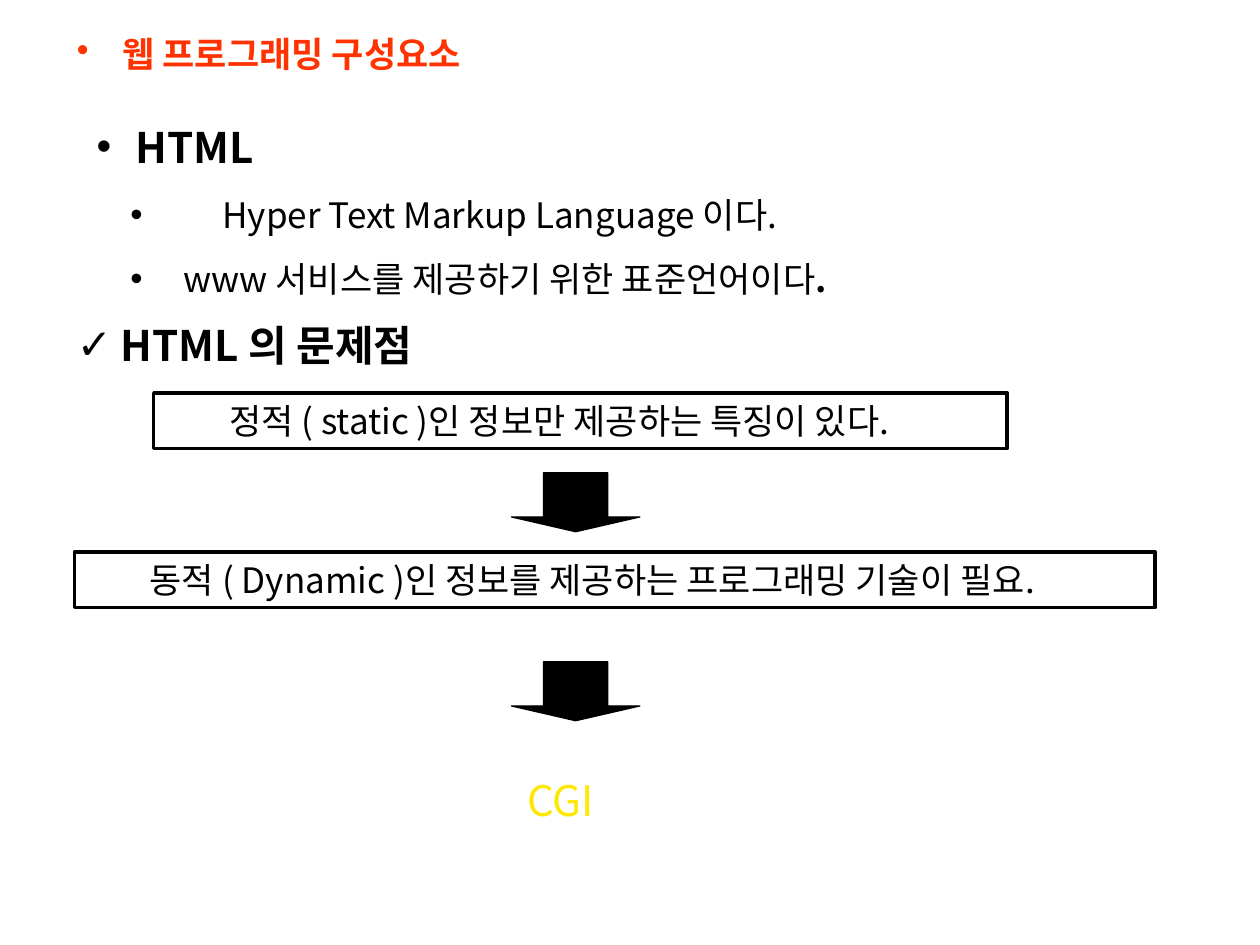
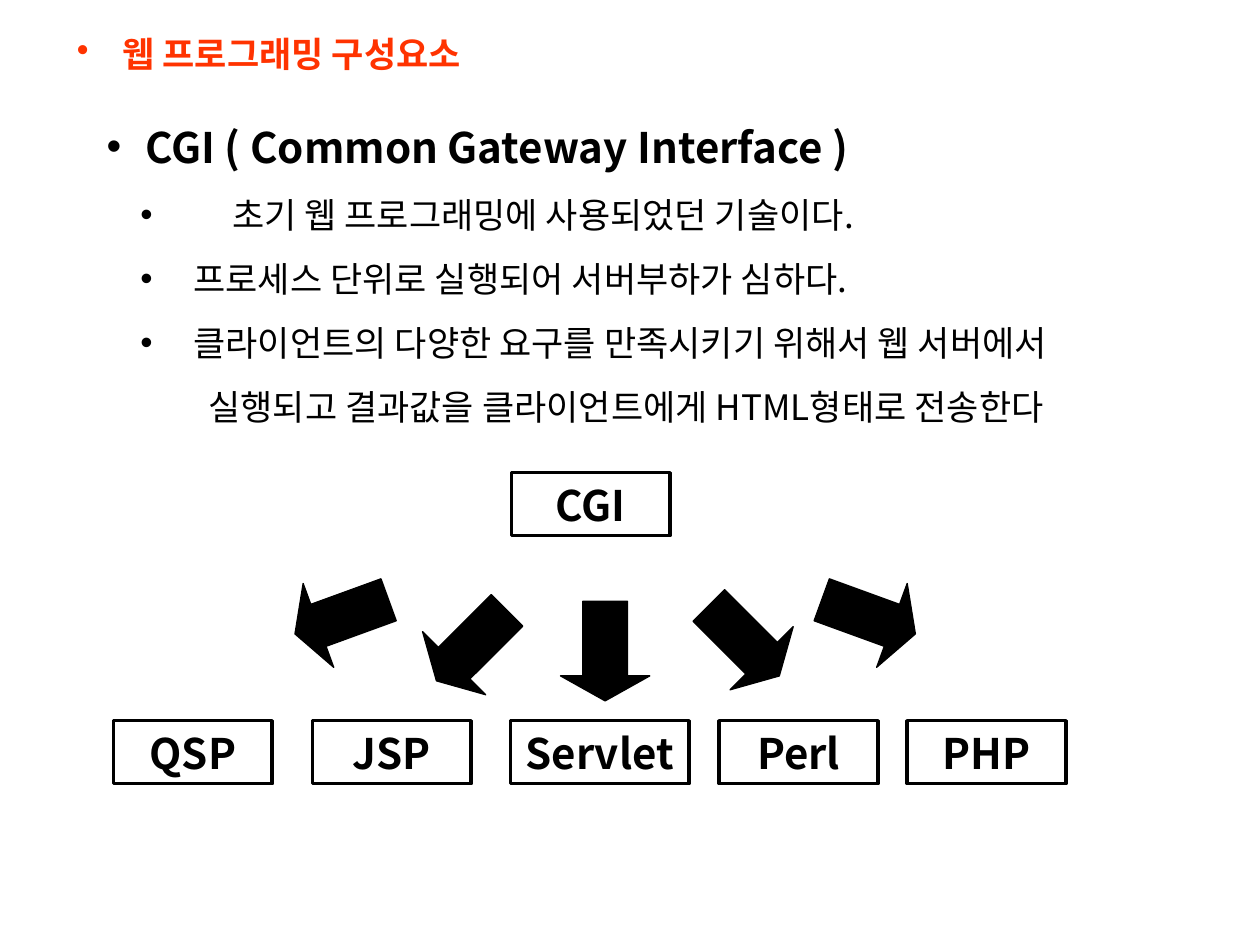
"""Build two slides on the components of web programming."""
from dataclasses import dataclass
from typing import Optional

from lxml.etree import SubElement
from pptx import Presentation
from pptx.dml.color import RGBColor
from pptx.enum.shapes import MSO_SHAPE
from pptx.enum.text import MSO_ANCHOR, MSO_AUTO_SIZE, PP_ALIGN
from pptx.oxml.ns import qn
from pptx.util import Cm, Pt

FONT = "Noto Sans CJK KR"
COLORS = {"title": "FF3300", "ink": "000000", "glow_top": "FFE701", "glow_bottom": "FE3E02"}
TITLE = "웹 프로그래밍 구성요소"
LINE_RATIO = 1.2
SPACE_RATIO = 0.625


@dataclass(frozen=True)
class Area:
    left: float
    top: float
    width: float
    height: float

    def lengths(self):
        return Cm(self.left), Cm(self.top), Cm(self.width), Cm(self.height)


@dataclass(frozen=True)
class Item:
    text: str
    size: float = 20
    bold: bool = False
    color: str = "ink"
    level: int = 0
    bullet: Optional[str] = None
    bullet_at: float = 0
    text_at: float = 0
    align: PP_ALIGN = PP_ALIGN.LEFT
    bold_end: str = ""


@dataclass(frozen=True)
class Arrow:
    area: Area
    head: float
    rotation: float = 0


def heading(text: str, bullet: str = "•", text_at: float = 0.78) -> Item:
    return Item(text, size=24, bold=True, bullet=bullet, text_at=text_at)


def detail(text: str, text_at: float = 1.75, bullet: Optional[str] = "•", bold_end: str = "") -> Item:
    start = 0.68 if bullet else text_at
    return Item(text, level=1, bullet=bullet, bullet_at=start, text_at=text_at, bold_end=bold_end)


def statement(text: str) -> Item:
    return Item(text, level=1, bullet_at=1.27, text_at=1.27)


TITLE_AREA = Area(1.3, 0.53, 21.41, 1.12)
TITLE_ITEM = Item(TITLE, bold=True, color="title", bullet="•", text_at=0.92)

HTML_AREA = Area(1.7, 2.31, 23.01, 3.86)
HTML_ITEMS = [
    heading("HTML"),
    detail("Hyper Text Markup Language 이다.", 2.53),
    detail("www 서비스를 제공하기 위한 표준언어이다", bold_end="."),
]
PROBLEM_AREA = Area(1.3, 6.32, 23.01, 1.27)
PROBLEM_ITEMS = [heading("HTML 의 문제점", bullet="✓", text_at=0.88)]
STATEMENTS = [
    (Area(3.1, 7.92, 17.2, 1.12), "정적 ( static )인 정보만 제공하는 특징이 있다."),
    (Area(1.5, 11.13, 21.79, 1.12), "동적 ( Dynamic )인 정보를 제공하는 프로그래밍 기술이 필요."),
]
STEP_ARROWS = [Arrow(Area(10.31, top, 2.59, 1.19), 0.25) for top in (9.53, 13.34)]
ANSWER_AREA = Area(9.5, 15.11, 3.61, 2.01)

CGI_AREA = Area(1.9, 2.31, 23.01, 7.72)
CGI_ITEMS = [
    heading("CGI ( Common Gateway Interface )"),
    detail("초기 웹 프로그래밍에 사용되었던 기술이다.", 2.53),
    detail("프로세스 단위로 실행되어 서버부하가 심하다."),
    detail("클라이언트의 다양한 요구를 만족시키기 위해서 웹 서버에서"),
    detail("실행되고 결과값을 클라이언트에게 HTML형태로 전송한다", 2.05, bullet=None),
]
TECHNOLOGIES = [
    ("CGI", Area(10.31, 9.53, 3.2, 1.27)),
    ("QSP", Area(2.29, 14.53, 3.2, 1.27)),
    ("JSP", Area(6.3, 14.53, 3.2, 1.27)),
    ("Servlet", Area(10.29, 14.53, 3.6, 1.27)),
    ("Perl", Area(14.5, 14.53, 3.2, 1.27)),
    ("PHP", Area(18.29, 14.53, 3.2, 1.27)),
]
BRANCH_ARROWS = [
    Arrow(Area(left, top, 1.8, 2.01), 0.28, rotation)
    for left, top, rotation in [
        (11.3, 12.12, 0),
        (8.61, 12.01, 45),
        (5.99, 11.43, 70),
        (14.1, 11.91, 315),
        (16.61, 11.43, 290),
    ]
]


def rgb(name: str) -> RGBColor:
    return RGBColor.from_string(COLORS[name])


def add_text(paragraph, text: str, *, size: float, bold: bool = False, color: str = "ink"):
    """Add one formatted run to a paragraph."""
    run = paragraph.add_run()
    run.text = text
    run.font.size = Pt(size)
    run.font.bold = bold
    run.font.color.rgb = rgb(color)
    run.font.name = FONT
    SubElement(run._r.get_or_add_rPr(), qn("a:ea"), typeface=FONT)
    return run


def set_bullet(paragraph, item: Item) -> None:
    """Set the indents and the bullet of a paragraph."""
    properties = paragraph._p.get_or_add_pPr()
    properties.set("marL", str(Cm(item.text_at)))
    properties.set("indent", str(Cm(item.bullet_at) - Cm(item.text_at)))
    if item.bullet:
        SubElement(properties, qn("a:buChar"), char=item.bullet)
    else:
        SubElement(properties, qn("a:buNone"))


def fill_text(shape, items: list[Item]) -> None:
    """Write the items as paragraphs of a shape."""
    frame = shape.text_frame
    frame.word_wrap = True
    frame.auto_size = MSO_AUTO_SIZE.NONE
    frame.vertical_anchor = MSO_ANCHOR.TOP
    frame.margin_left = frame.margin_right = Cm(0.25)
    frame.margin_top = frame.margin_bottom = Cm(0.13)
    for index, item in enumerate(items):
        paragraph = frame.add_paragraph() if index else frame.paragraphs[0]
        set_bullet(paragraph, item)
        paragraph.level = item.level
        paragraph.alignment = item.align
        paragraph.line_spacing = Pt(item.size * LINE_RATIO)
        paragraph.space_before = Pt(item.size * SPACE_RATIO if index else 0)
        paragraph.space_after = Pt(0)
        add_text(paragraph, item.text, size=item.size, bold=item.bold, color=item.color)
        if item.bold_end:
            add_text(paragraph, item.bold_end, size=item.size, bold=True, color=item.color)


def fill_placeholder(placeholder, area: Area, items: list[Item]) -> None:
    """Move a placeholder and write its items."""
    placeholder.left, placeholder.top, placeholder.width, placeholder.height = area.lengths()
    fill_text(placeholder, items)


def add_topic_slide(deck, layout_index: int, lists: list):
    """Add a slide with the shared title and its lists."""
    slide = deck.slides.add_slide(deck.slide_layouts[layout_index])
    fill_placeholder(slide.shapes.title, TITLE_AREA, [TITLE_ITEM])
    for index, (area, items) in enumerate(lists, start=1):
        fill_placeholder(slide.placeholders[index], area, items)
    return slide


def add_box(slide, area: Area, item: Item) -> None:
    """Draw an outlined rectangle with text."""
    box = slide.shapes.add_shape(MSO_SHAPE.RECTANGLE, *area.lengths())
    box.shadow.inherit = False
    box.fill.background()
    box.line.color.rgb = rgb("ink")
    box.line.width = Pt(2)
    fill_text(box, [item])


def add_arrow(slide, arrow: Arrow) -> None:
    """Draw a solid block arrow."""
    block = slide.shapes.add_shape(MSO_SHAPE.DOWN_ARROW, *arrow.area.lengths())
    block.adjustments[0], block.adjustments[1] = 0.5, arrow.head
    block.rotation = arrow.rotation
    block.shadow.inherit = False
    block.fill.solid()
    block.fill.fore_color.rgb = rgb("ink")
    block.line.color.rgb = rgb("ink")
    block.line.width = Pt(0.75)


def add_answer(slide) -> None:
    """Add the word with a gradient fill that ends the chain."""
    answer = slide.shapes.add_textbox(*ANSWER_AREA.lengths())
    frame = answer.text_frame
    frame.word_wrap = True
    frame.vertical_anchor = MSO_ANCHOR.MIDDLE
    frame.paragraphs[0].alignment = PP_ALIGN.CENTER
    fill = add_text(frame.paragraphs[0], "CGI", size=24).font.fill
    fill.gradient()
    fill.gradient_angle = 270
    for stop, name in zip(fill.gradient_stops, ("glow_top", "glow_bottom")):
        stop.color.rgb = rgb(name)


def build_html_slide(deck) -> None:
    """Build the slide on HTML and its limits."""
    slide = add_topic_slide(deck, 3, [(HTML_AREA, HTML_ITEMS), (PROBLEM_AREA, PROBLEM_ITEMS)])
    for area, text in STATEMENTS:
        add_box(slide, area, statement(text))
    for arrow in STEP_ARROWS:
        add_arrow(slide, arrow)
    add_answer(slide)


def build_cgi_slide(deck) -> None:
    """Build the slide on CGI and its successors."""
    slide = add_topic_slide(deck, 1, [(CGI_AREA, CGI_ITEMS)])
    for name, area in TECHNOLOGIES:
        add_box(slide, area, Item(name, size=24, bold=True, align=PP_ALIGN.CENTER))
    for arrow in BRANCH_ARROWS:
        add_arrow(slide, arrow)


def main() -> None:
    """Build and save the deck."""
    deck = Presentation()
    deck.slide_width, deck.slide_height = Cm(25.4), Cm(19.05)
    build_html_slide(deck)
    build_cgi_slide(deck)
    deck.save("out.pptx")


if __name__ == "__main__":
    main()
